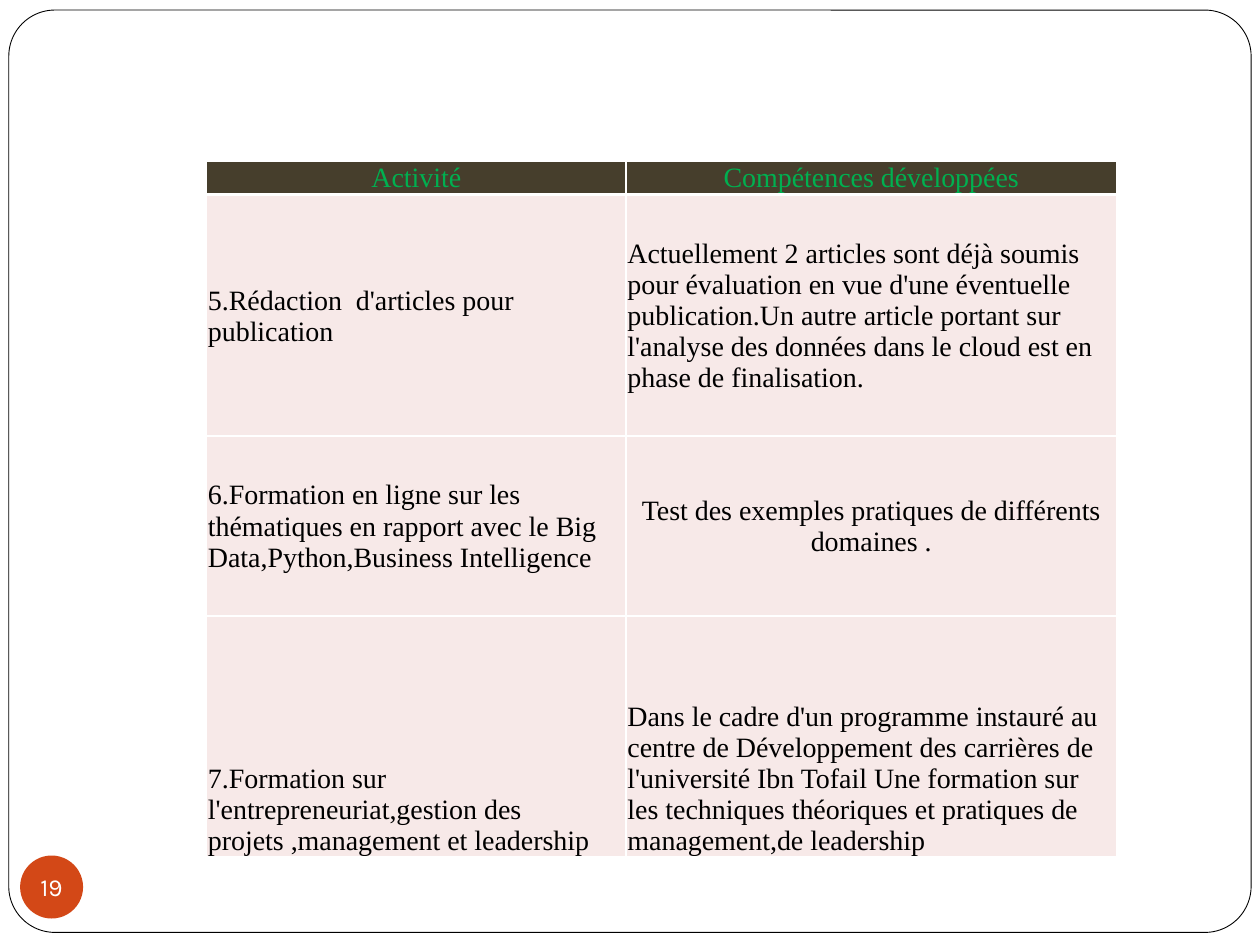
import pptx
import pptx.dml.color
import pptx.enum.shapes
import pptx.enum.text
import pptx.oxml
import pptx.oxml.ns
import pptx.util
from pptx.util import Inches

RGBColor = pptx.dml.color.RGBColor
WHITE = RGBColor(0xFF, 0xFF, 0xFF)
BLACK = RGBColor(0x00, 0x00, 0x00)
ORANGE = RGBColor(0xD3, 0x48, 0x17)
BROWN = RGBColor(0x46, 0x3E, 0x2C)
GREEN = RGBColor(0x00, 0xB0, 0x50)
PINK = RGBColor(0xF7, 0xE9, 0xE8)

ALIGN = pptx.enum.text.PP_ALIGN
ANCHOR = pptx.enum.text.MSO_ANCHOR
SHAPE = pptx.enum.shapes.MSO_SHAPE

COLUMN_WIDTHS = (3.33, 3.89)
TABLE_LEFT = 1.64

HEADINGS = [
    (0.05, ANCHOR.MIDDLE, [("Activité", ALIGN.CENTER),
                           ("Compétences développées", ALIGN.CENTER)]),
]
ACTIVITIES = [
    (1.91, ANCHOR.MIDDLE, [
        ("5.Rédaction  d'articles pour publication", ALIGN.LEFT),
        ("Actuellement 2 articles sont déjà soumis pour évaluation en vue d'une "
         "éventuelle publication.Un autre article portant sur l'analyse des données "
         "dans le cloud est en phase de finalisation.", ALIGN.LEFT)]),
    (1.43, ANCHOR.MIDDLE, [
        ("6.Formation en ligne sur les thématiques en rapport avec le Big "
         "Data,Python,Business Intelligence", ALIGN.LEFT),
        ("Test des exemples pratiques de différents domaines .", ALIGN.CENTER)]),
    (1.91, ANCHOR.BOTTOM, [
        ("7.Formation sur l'entrepreneuriat,gestion des projets ,management et "
         "leadership", ALIGN.LEFT),
        ("Dans le cadre d'un programme instauré au centre de Développement des "
         "carrières de l'université Ibn Tofail Une formation sur les techniques "
         "théoriques et pratiques de management,de leadership", ALIGN.LEFT)]),
]


def format_text(text_frame, text, font_name, size, color, alignment):
    text_frame.text = text
    paragraph = text_frame.paragraphs[0]
    paragraph.alignment = alignment
    font = paragraph.runs[0].font
    font.name = font_name
    font.size = pptx.util.Pt(size)
    font.color.rgb = color


def add_borders(cell):
    """Draw a thin white line on each side; call before setting the cell fill."""
    properties = cell._tc.get_or_add_tcPr()
    for side in ("lnL", "lnR", "lnT", "lnB"):
        properties.append(pptx.oxml.parse_xml(
            f'<a:{side} {pptx.oxml.ns.nsdecls("a")} w="{pptx.util.Pt(1)}">'
            f'<a:solidFill><a:srgbClr val="{WHITE}"/></a:solidFill></a:{side}>'))


def add_frame(slide, left, top, width, height):
    frame = slide.shapes.add_shape(
        SHAPE.ROUNDED_RECTANGLE, Inches(left), Inches(top), Inches(width), Inches(height))
    frame.adjustments[0] = 0.05
    frame.shadow.inherit = False
    frame.fill.solid()
    frame.fill.fore_color.rgb = WHITE
    frame.line.color.rgb = BLACK
    frame.line.width = pptx.util.Pt(0.5)


def add_page_badge(slide, left, top, diameter, number):
    badge = slide.shapes.add_shape(
        SHAPE.OVAL, Inches(left), Inches(top), Inches(diameter), Inches(diameter))
    badge.shadow.inherit = False
    badge.fill.solid()
    badge.fill.fore_color.rgb = ORANGE
    badge.line.fill.background()
    text_frame = badge.text_frame
    text_frame.margin_left = text_frame.margin_right = 0
    text_frame.margin_top = text_frame.margin_bottom = 0
    text_frame.word_wrap = False
    text_frame.vertical_anchor = ANCHOR.MIDDLE
    format_text(text_frame, number, "Karla", 14, WHITE, ALIGN.CENTER)


def add_activity_table(slide, left, top, rows, fill_color, text_color):
    """Build a table from rows of (height, anchor, [(text, alignment), ...])."""
    table = slide.shapes.add_table(
        len(rows), len(COLUMN_WIDTHS), Inches(left), Inches(top),
        Inches(sum(COLUMN_WIDTHS)), Inches(sum(row[0] for row in rows))).table
    table.first_row = False
    table.horz_banding = False
    for column, width in zip(table.columns, COLUMN_WIDTHS):
        column.width = Inches(width)
    for row, (height, anchor, entries) in zip(table.rows, rows):
        row.height = Inches(height)
        for cell, (text, alignment) in zip(row.cells, entries):
            add_borders(cell)
            cell.fill.solid()
            cell.fill.fore_color.rgb = fill_color
            cell.margin_left = cell.margin_right = cell.margin_top = Inches(0.01)
            cell.margin_bottom = 0
            cell.vertical_anchor = anchor
            format_text(cell.text_frame, text, "Times New Roman", 16, text_color, alignment)


def main():
    presentation = pptx.Presentation()
    presentation.slide_width = Inches(10)
    presentation.slide_height = Inches(7.5)
    slide = presentation.slides.add_slide(presentation.slide_layouts[6])
    add_frame(slide, 0.07, 0.08, 9.86, 7.32)
    add_page_badge(slide, 0.16, 6.79, 0.5, "19")
    add_activity_table(slide, TABLE_LEFT, 1.28, HEADINGS, BROWN, GREEN)
    add_activity_table(slide, TABLE_LEFT, 1.55, ACTIVITIES, PINK, BLACK)
    presentation.save("out.pptx")


if __name__ == "__main__":
    main()
